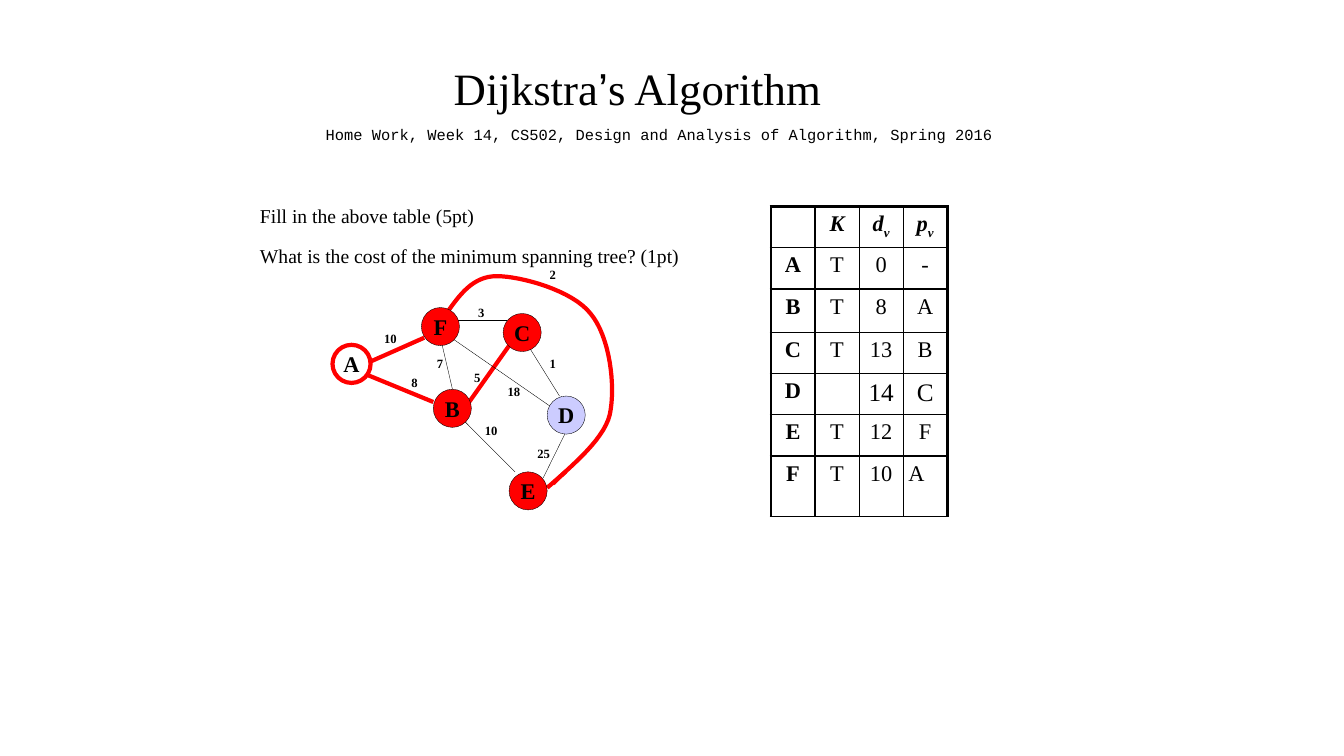
"""Builds the Dijkstra homework slide with its weighted graph and result table."""
from dataclasses import dataclass
from typing import NamedTuple

from lxml.etree import SubElement
from pptx import Presentation
from pptx.dml.color import RGBColor
from pptx.enum.shapes import MSO_CONNECTOR, MSO_SHAPE
from pptx.enum.text import MSO_ANCHOR, MSO_AUTO_SIZE, PP_ALIGN
from pptx.oxml.ns import qn
from pptx.util import Cm, Pt


@dataclass(frozen=True)
class Theme:
    """Colours, fonts and sizes of the slide."""
    ink: RGBColor = RGBColor(0, 0, 0)
    paper: RGBColor = RGBColor(255, 255, 255)
    chosen: RGBColor = RGBColor(255, 0, 0)
    waiting: RGBColor = RGBColor(0xCC, 0xCC, 0xFF)
    serif: str = "Times New Roman"
    sans: str = "Arial"
    mono: str = "Courier New"
    title: float = 32
    course: float = 11
    question: float = 14
    letter: float = 16
    large: float = 18
    weight: float = 9
    thin: float = 0.25
    thick: float = 3
    grid: float = 1
    frame: float = 2.25


THEME = Theme()


class Point(NamedTuple):
    """A place on the slide in centimetres."""
    x: float
    y: float


class Node(NamedTuple):
    """A vertex of the graph."""
    name: str
    centre: Point
    fill: RGBColor = THEME.chosen
    outline: RGBColor = THEME.ink
    width: float = THEME.thin


class Edge(NamedTuple):
    """A weighted edge with the centre of its label."""
    weight: str
    start: Point
    end: Point
    label: Point
    chosen: bool = False


NODE_SIZE = 0.96
NODES = [
    Node("A", Point(8.86, 9.17), THEME.paper, THEME.chosen, THEME.thick),
    Node("B", Point(11.4, 10.29)),
    Node("F", Point(11.1, 8.23)),
    Node("E", Point(13.31, 12.37)),
    Node("D", Point(14.27, 10.46), THEME.waiting),
    Node("C", Point(13.16, 8.38)),
]
EDGES = [
    Edge("25", Point(14.48, 10.44), Point(13.69, 12.04), Point(13.7, 11.39)),
    Edge("7", Point(11.07, 8.38), Point(11.4, 9.8), Point(11.09, 9.13)),
    Edge("5", Point(11.71, 10.29), Point(12.83, 8.71), Point(12.03, 9.49), True),
    Edge("18", Point(13.94, 10.29), Point(11.4, 8.53), Point(12.95, 9.84)),
    Edge("8", Point(9.02, 9.35), Point(10.92, 10.13), Point(10.45, 9.61), True),
    Edge("3", Point(11.51, 8.08), Point(12.78, 8.08), Point(12.13, 7.86)),
    Edge("1", Point(13.31, 8.71), Point(14.1, 9.98), Point(13.93, 9.13)),
    Edge("10", Point(11.71, 10.62), Point(12.98, 11.89), Point(12.38, 10.83)),
    Edge("10", Point(9.27, 9.14), Point(10.69, 8.51), Point(9.84, 8.5), True),
    Edge("2", Point(14.25, 11.89), Point(13.79, 12.29), Point(13.93, 6.9), True),
]
DETOUR_START = Point(11.25, 7.9)
DETOUR_CURVES = [
    (Point(11.58, 7.44), Point(11.91, 6.96), Point(12.52, 6.96)),
    (Point(13.13, 6.96), Point(14.43, 7.32), Point(14.88, 7.9)),
    (Point(15.37, 8.48), Point(15.52, 9.73), Point(15.37, 10.44)),
    (Point(15.21, 11.15), Point(14.17, 11.91), Point(13.94, 12.19)),
]
RESULTS = [
    ("", "K", "dv", "pv"),
    ("A", "T", "0", "-"),
    ("B", "T", "8", "A"),
    ("C", "T", "13", "B"),
    ("D", "", "14", "C"),
    ("E", "T", "12", "F"),
    ("F", "T", "10", "A"),
]
ROW_HEIGHTS = [1.04, 1.04, 1.09, 1.04, 1.04, 1.04, 1.52]
COLUMN_WIDTH = 1.11


def add_run(paragraph, text: str, size: float, face: str = THEME.serif,
            bold: bool = False, italic: bool = False, subscript: bool = False) -> None:
    """Append one formatted run."""
    run = paragraph.add_run()
    run.text = text
    run.font.size, run.font.name = Pt(size), face
    run.font.bold, run.font.italic = bold, italic
    run.font.color.rgb = THEME.ink
    if subscript:
        run._r.get_or_add_rPr().set("baseline", "-25000")


def set_frame(frame, inset: float, anchor=MSO_ANCHOR.TOP, wrap: bool = True) -> None:
    """Set the insets, anchor and wrapping of a text frame."""
    frame.margin_left = frame.margin_right = Cm(inset)
    frame.margin_top = frame.margin_bottom = Cm(inset)
    frame.auto_size, frame.word_wrap = MSO_AUTO_SIZE.NONE, wrap
    frame.vertical_anchor = anchor


def place(shape, left: float, top: float, width: float, height: float) -> None:
    """Move and size a shape."""
    shape.left, shape.top = Cm(left), Cm(top)
    shape.width, shape.height = Cm(width), Cm(height)


def add_headings(slide) -> None:
    """Fill the title and add the course line."""
    title = slide.shapes.title
    place(title, 11.33, 1.42, 9.47, 1.47)
    set_frame(title.text_frame, 0.1, wrap=False)
    heading = title.text_frame.paragraphs[0]
    heading.alignment = PP_ALIGN.CENTER
    for text, face in (("Dijkstra", THEME.serif), ("’", THEME.sans), ("s Algorithm", THEME.serif)):
        add_run(heading, text, THEME.title, face)
    course = slide.shapes.add_textbox(Cm(7.82), Cm(3.07), Cm(17.6), Cm(0.58)).text_frame
    set_frame(course, 0.08)
    course.paragraphs[0].alignment = PP_ALIGN.CENTER
    add_run(course.paragraphs[0],
            "Home Work, Week 14, CS502, Design and Analysis of Algorithm, Spring 2016",
            THEME.course, THEME.mono)


def add_questions(slide) -> None:
    """Write the two questions in the body placeholder."""
    body = slide.placeholders[1]
    place(body, 6.45, 5.03, 13, 1.73)
    set_frame(body.text_frame, 0.1)
    questions = ("Fill in the above table (5pt)",
                 "What is the cost of the minimum spanning tree? (1pt)")
    for index, question in enumerate(questions):
        paragraph = body.text_frame.add_paragraph() if index else body.text_frame.paragraphs[0]
        properties = paragraph._p.get_or_add_pPr()
        properties.set("marL", "0")
        properties.set("indent", "0")
        SubElement(properties, qn("a:buNone"))
        paragraph.space_before = Pt(12 if index else 0)
        add_run(paragraph, question, THEME.question)


def add_edge(slide, edge: Edge) -> None:
    """Draw the line of one edge."""
    line = slide.shapes.add_connector(MSO_CONNECTOR.STRAIGHT, *map(Cm, edge.start + edge.end))
    line.line.color.rgb = THEME.chosen if edge.chosen else THEME.ink
    line.line.width = Pt(THEME.thick if edge.chosen else THEME.thin)
    SubElement(line._element.spPr, qn("a:effectLst"))


def add_weight(slide, edge: Edge) -> None:
    """Write the weight of one edge."""
    width, height = (0.99 if len(edge.weight) > 1 else 0.64), 0.53
    label = slide.shapes.add_textbox(Cm(edge.label.x - width / 2), Cm(edge.label.y - height / 2),
                                     Cm(width), Cm(height)).text_frame
    set_frame(label, 0.1)
    label.paragraphs[0].alignment = PP_ALIGN.CENTER
    add_run(label.paragraphs[0], edge.weight, THEME.weight, bold=True)


def add_node(slide, node: Node) -> None:
    """Draw one vertex with its letter."""
    circle = slide.shapes.add_shape(
        MSO_SHAPE.OVAL, Cm(node.centre.x - NODE_SIZE / 2), Cm(node.centre.y - NODE_SIZE / 2),
        Cm(NODE_SIZE), Cm(NODE_SIZE))
    circle.shadow.inherit = False
    circle.fill.solid()
    circle.fill.fore_color.rgb = node.fill
    circle.line.color.rgb, circle.line.width = node.outline, Pt(node.width)
    set_frame(circle.text_frame, 0, MSO_ANCHOR.MIDDLE, wrap=False)
    circle.text_frame.paragraphs[0].alignment = PP_ALIGN.CENTER
    add_run(circle.text_frame.paragraphs[0], node.name, THEME.letter, bold=True)


def bezier(points: tuple[Point, ...], t: float) -> tuple[int, int]:
    """Return the place at t on a cubic curve."""
    shares = ((1 - t) ** 3, 3 * t * (1 - t) ** 2, 3 * t * t * (1 - t), t ** 3)
    x, y = (sum(s * v for s, v in zip(shares, axis)) for axis in zip(*points))
    return Cm(x), Cm(y)


def add_detour(slide, steps: int = 16) -> None:
    """Draw the curved edge from F to E."""
    builder = slide.shapes.build_freeform(Cm(DETOUR_START.x), Cm(DETOUR_START.y))
    start = DETOUR_START
    for curve in DETOUR_CURVES:
        builder.add_line_segments(
            [bezier((start, *curve), step / steps) for step in range(1, steps + 1)], close=False)
        start = curve[-1]
    detour = builder.convert_to_shape()
    detour.shadow.inherit = False
    detour.fill.background()
    detour.line.color.rgb, detour.line.width = THEME.chosen, Pt(THEME.thick)


def set_borders(cell, row: int, column: int) -> None:
    """Rule one cell, with a heavier frame on the left, top and right."""
    heavy = {"lnL": column == 0, "lnR": column == 3, "lnT": row == 0, "lnB": False}
    for side, framed in heavy.items():
        width = Pt(THEME.frame if framed else THEME.grid)
        border = SubElement(cell._tc.get_or_add_tcPr(), qn(f"a:{side}"), w=str(width))
        SubElement(SubElement(border, qn("a:solidFill")), qn("a:srgbClr"), val=str(THEME.ink))


def add_results(slide) -> None:
    """Add the table of known vertices, distances and predecessors."""
    table = slide.shapes.add_table(len(RESULTS), 4, Cm(19.43), Cm(5.2), Cm(4 * COLUMN_WIDTH),
                                   Cm(sum(ROW_HEIGHTS))).table
    table.first_row = table.horz_banding = False
    for column in table.columns:
        column.width = Cm(COLUMN_WIDTH)
    for row, values in enumerate(RESULTS):
        table.rows[row].height = Cm(ROW_HEIGHTS[row])
        for column, value in enumerate(values):
            cell = table.cell(row, column)
            cell.margin_left = cell.margin_right = cell.margin_top = cell.margin_bottom = Cm(0.13)
            set_borders(cell, row, column)
            cell.fill.background()
            entry = cell.text_frame.paragraphs[0]
            last = (row, column) == (len(RESULTS) - 1, 3)
            entry.alignment = PP_ALIGN.LEFT if last else PP_ALIGN.CENTER
            size = THEME.large if values[0] == "D" and column > 1 else THEME.letter
            symbol, index = (value[0], value[1:]) if value and row == 0 else (value, "")
            for text in filter(None, (symbol, index)):
                add_run(entry, text, size, bold=row == 0 or column == 0,
                        italic=row == 0, subscript=text == index)


def main() -> None:
    """Build and save the slide."""
    deck = Presentation()
    deck.slide_width, deck.slide_height = Cm(33.87), Cm(19.05)
    slide = deck.slides.add_slide(deck.slide_layouts[1])
    add_results(slide)
    for edge in EDGES:
        add_edge(slide, edge)
    add_detour(slide)
    for node in NODES:
        add_node(slide, node)
    for edge in EDGES:
        add_weight(slide, edge)
    add_questions(slide)
    add_headings(slide)
    deck.save("out.pptx")


if __name__ == "__main__":
    main()
